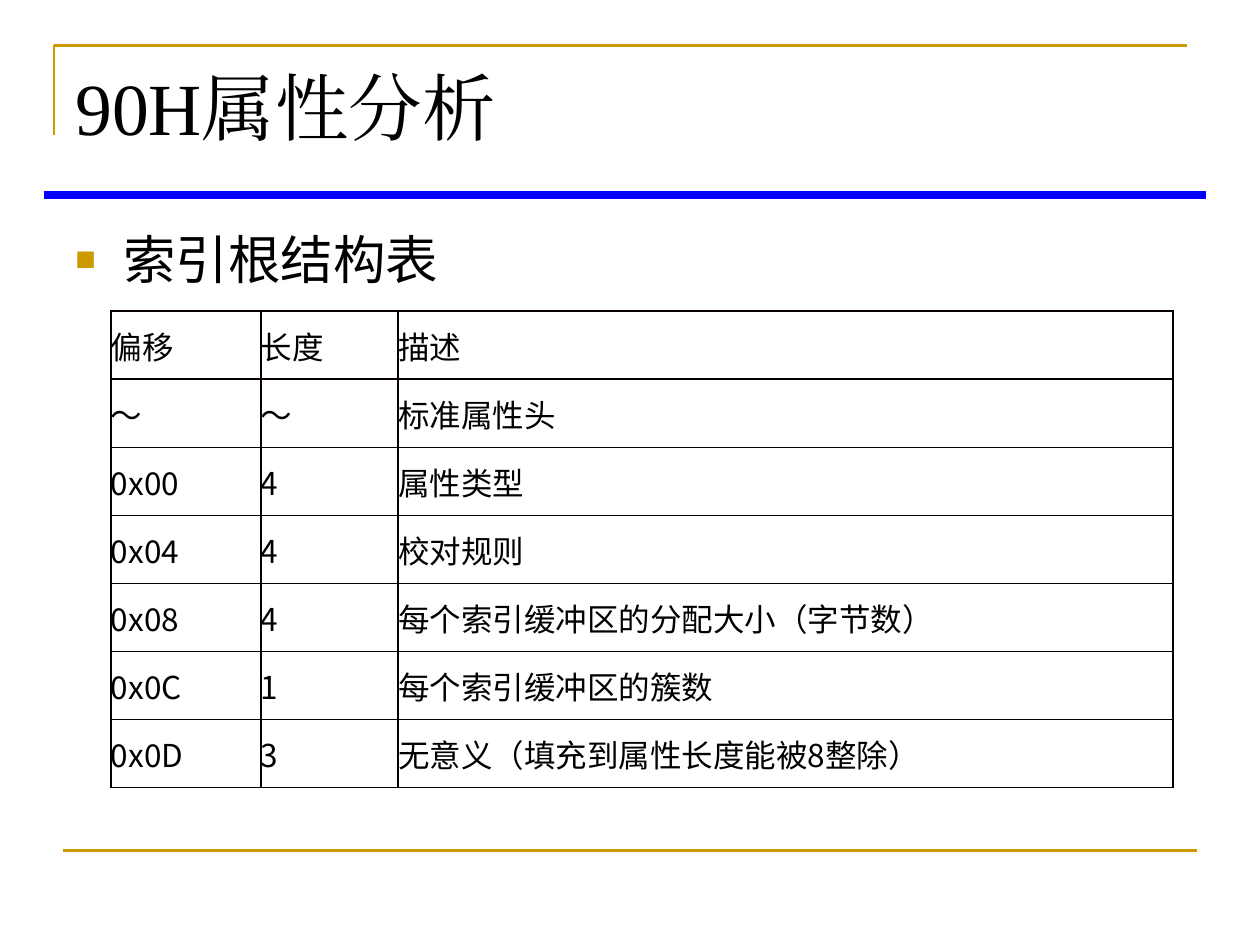
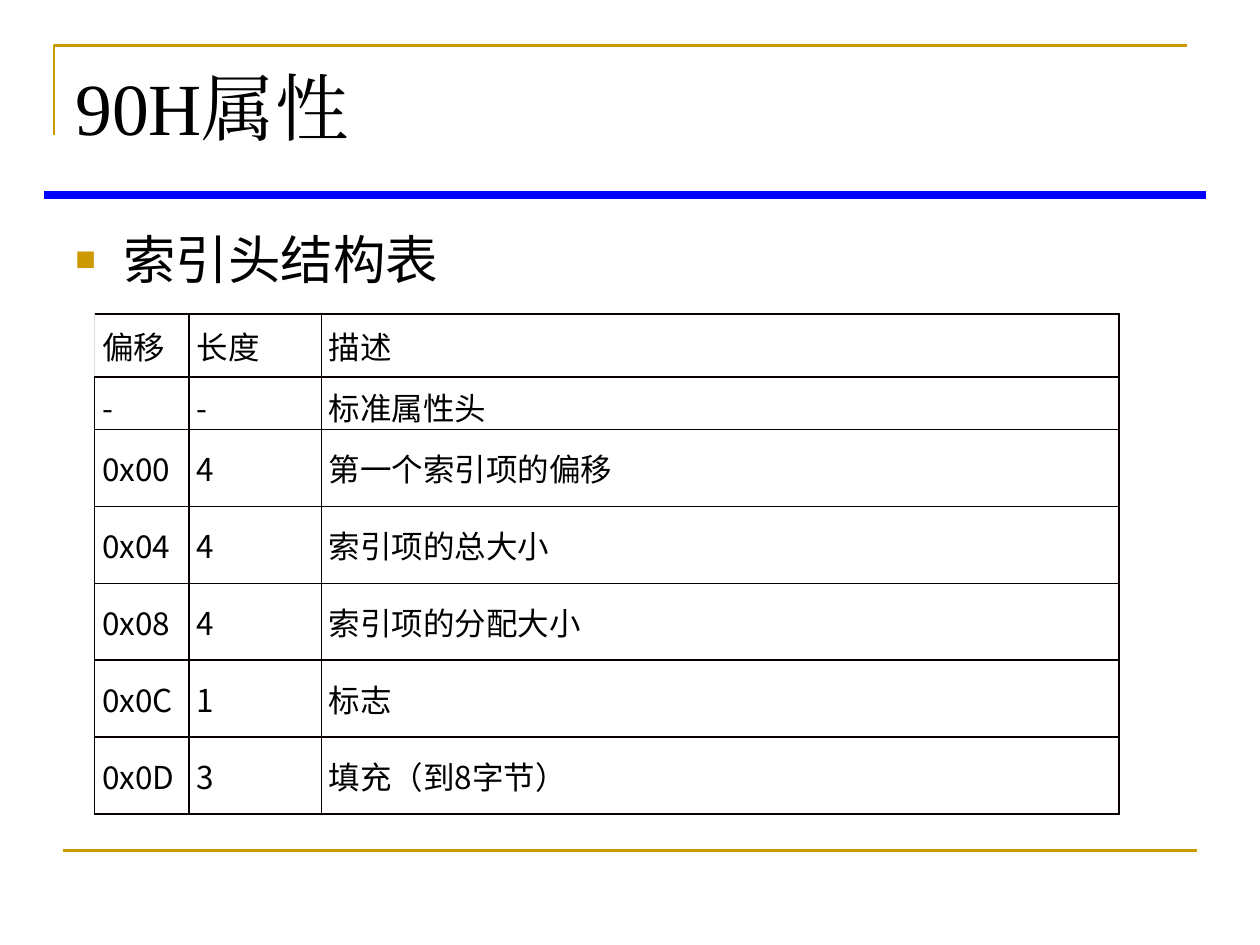
from pptx import Presentation
from pptx.dml.color import RGBColor
from pptx.enum.shapes import MSO_CONNECTOR as Connector
from pptx.enum.text import MSO_ANCHOR as Anchor
from pptx.oxml.xmlchemy import OxmlElement as Element
from pptx.util import Inches, Pt

GOLD, BLUE, BLACK, WHITE = "CC9900", "0000FF", "000000", "FFFFFF"
GRID, PALE_GRID = "080000", "DDDDDD"
TITLE_FONT, BODY_FONT, TABLE_FONT = "Times New Roman", "Arial", "Noto Sans CJK SC"


def rgb(value):
    return RGBColor.from_string(value)


def add_element(parent, tag, **attributes):
    child = Element(tag)
    for key, value in attributes.items():
        child.set(key, str(value))
    parent.append(child)
    return child


class Deck:
    def __init__(self):
        self.presentation = Presentation()
        self.presentation.slide_width = Inches(10)
        self.presentation.slide_height = Inches(7.5)

    def new_slide(self, title, topic):
        self.slide = self.presentation.slides.add_slide(self.presentation.slide_layouts[6])
        self.corner()
        self.rule(0.5, 9.5, 6.75, GOLD, 1.5)
        self.rule(0.35, 9.57, 1.55, BLUE, 4.75)
        self.text(title, 0.44, 0.87, TITLE_FONT, 42)
        self.bullet(self.text(topic, 1.75, 4.95, BODY_FONT, 30))

    def corner(self):
        builder = self.slide.shapes.build_freeform(Inches(0.43), Inches(1.07))
        builder.add_line_segments(
            [(Inches(0.43), Inches(0.36)), (Inches(9.42), Inches(0.36))], close=False)
        bracket = builder.convert_to_shape()
        bracket.shadow.inherit = False
        bracket.fill.background()
        bracket.line.color.rgb = rgb(GOLD)
        bracket.line.width = Pt(1.5)

    def rule(self, left, right, y, color, width):
        line = self.slide.shapes.add_connector(
            Connector.STRAIGHT, Inches(left), Inches(y), Inches(right), Inches(y))
        line.line.color.rgb = rgb(color)
        line.line.width = Pt(width)
        add_element(line._element.spPr, "a:effectLst")

    def run(self, paragraph, words, font, size):
        run = paragraph.add_run()
        run.text = words
        run.font.name = font
        run.font.size = Pt(size)
        run.font.color.rgb = rgb(BLACK)
        add_element(run.font._element, "a:ea", typeface=font)

    def text(self, words, top, height, font, size):
        box = self.slide.shapes.add_textbox(Inches(0.5), Inches(top), Inches(9), Inches(height))
        box.text_frame.word_wrap = True
        paragraph = box.text_frame.paragraphs[0]
        self.run(paragraph, words, font, size)
        return paragraph

    def bullet(self, paragraph):
        properties = paragraph._p.get_or_add_pPr()
        properties.set("marL", str(Inches(0.38)))
        properties.set("indent", str(Inches(-0.38)))
        add_element(add_element(properties, "a:buClr"), "a:srgbClr", val=GOLD)
        add_element(properties, "a:buSzPct", val=65000)
        add_element(properties, "a:buFont", typeface=BODY_FONT)
        add_element(properties, "a:buChar", char="■")

    def border(self, cell, colors):
        properties = cell._tc.get_or_add_tcPr()
        for side, color in zip("LRTB", colors):
            edge = add_element(properties, f"a:ln{side}", w=Pt(1))
            add_element(add_element(edge, "a:solidFill"), "a:srgbClr", val=color)

    def table(self, left, top, widths, heights, rows, inset=0, fill=None, first_left=GRID):
        table = self.slide.shapes.add_table(
            len(rows), len(widths), Inches(left), Inches(top),
            Inches(sum(widths)), Inches(sum(heights))).table
        table.first_row = table.horz_banding = False
        for column, width in zip(table.columns, widths):
            column.width = Inches(width)
        for r, (entries, height) in enumerate(zip(rows, heights)):
            table.rows[r].height = Inches(height)
            for c, words in enumerate(entries):
                cell = table.cell(r, c)
                cell.vertical_anchor = Anchor.MIDDLE
                cell.margin_left = cell.margin_right = Inches(inset)
                cell.margin_top = cell.margin_bottom = Inches(inset)
                self.run(cell.text_frame.paragraphs[0], words, TABLE_FONT, 18)
                self.border(cell, [first_left if r == c == 0 else GRID] + [GRID] * 3)
                if fill:
                    cell.fill.solid()
                    cell.fill.fore_color.rgb = rgb(fill)
                else:
                    cell.fill.background()


HEADER = ("偏移", "长度", "描述")
FIELDS = (("0x00", "4"), ("0x04", "4"), ("0x08", "4"), ("0x0C", "1"), ("0x0D", "3"))


def structure(dash, descriptions):
    fields = [(*field, description) for field, description in zip(FIELDS, descriptions)]
    return [HEADER, (dash, dash, "标准属性头"), *fields]


def main():
    deck = Deck()

    deck.new_slide("90H属性分析", "索引根结构表")
    index_root = structure("～", (
        "属性类型", "校对规则", "每个索引缓冲区的分配大小（字节数）",
        "每个索引缓冲区的簇数", "无意义（填充到属性长度能被8整除）"))
    deck.table(0.88, 2.47, (1.19, 1.09, 6.15), [0.54] * 7, index_root)

    deck.new_slide("90H属性", "索引头结构表")
    index_header = structure("-", (
        "第一个索引项的偏移", "索引项的总大小", "索引项的分配大小", "标志", "填充（到8字节）"))
    deck.table(0.75, 2.49, (0.75, 1.05, 6.33), [0.5, 0.24] + [0.61] * 5, index_header,
               inset=0.06, fill=WHITE, first_left=PALE_GRID)

    deck.presentation.save("out.pptx")


if __name__ == "__main__":
    main()
